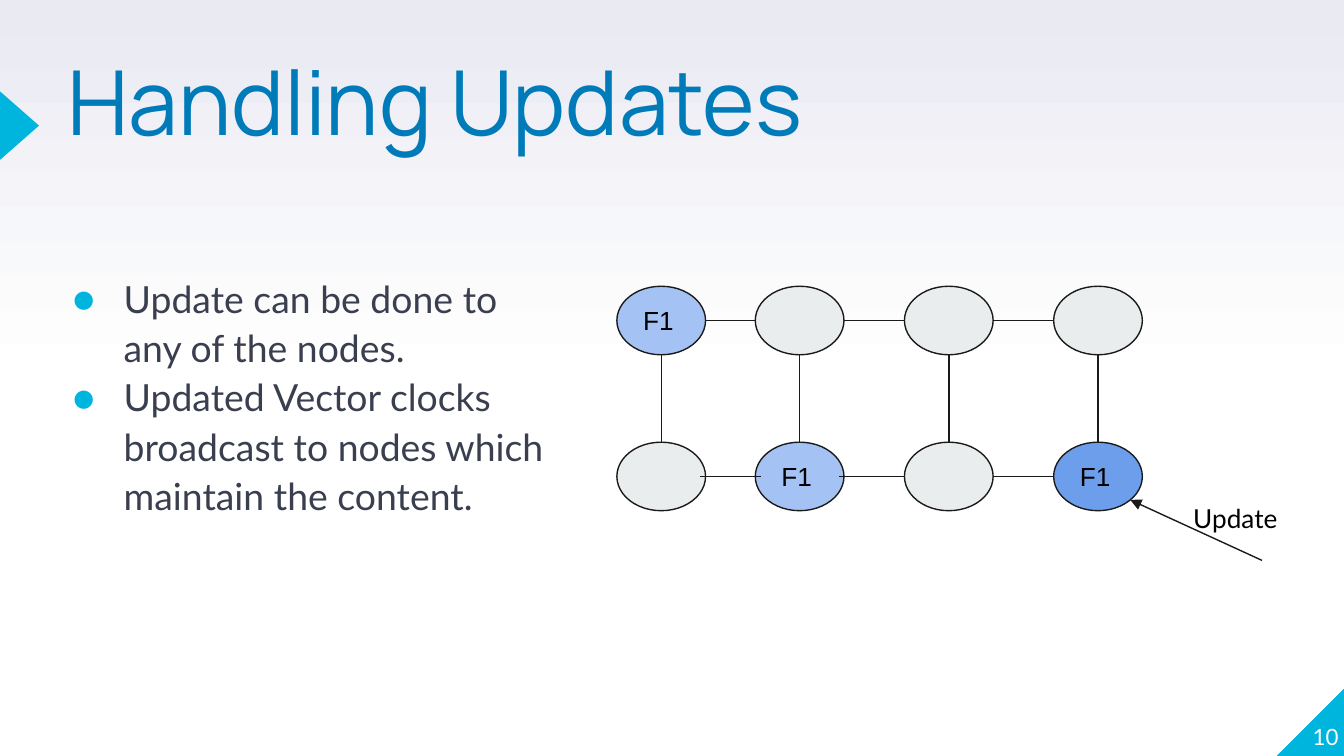
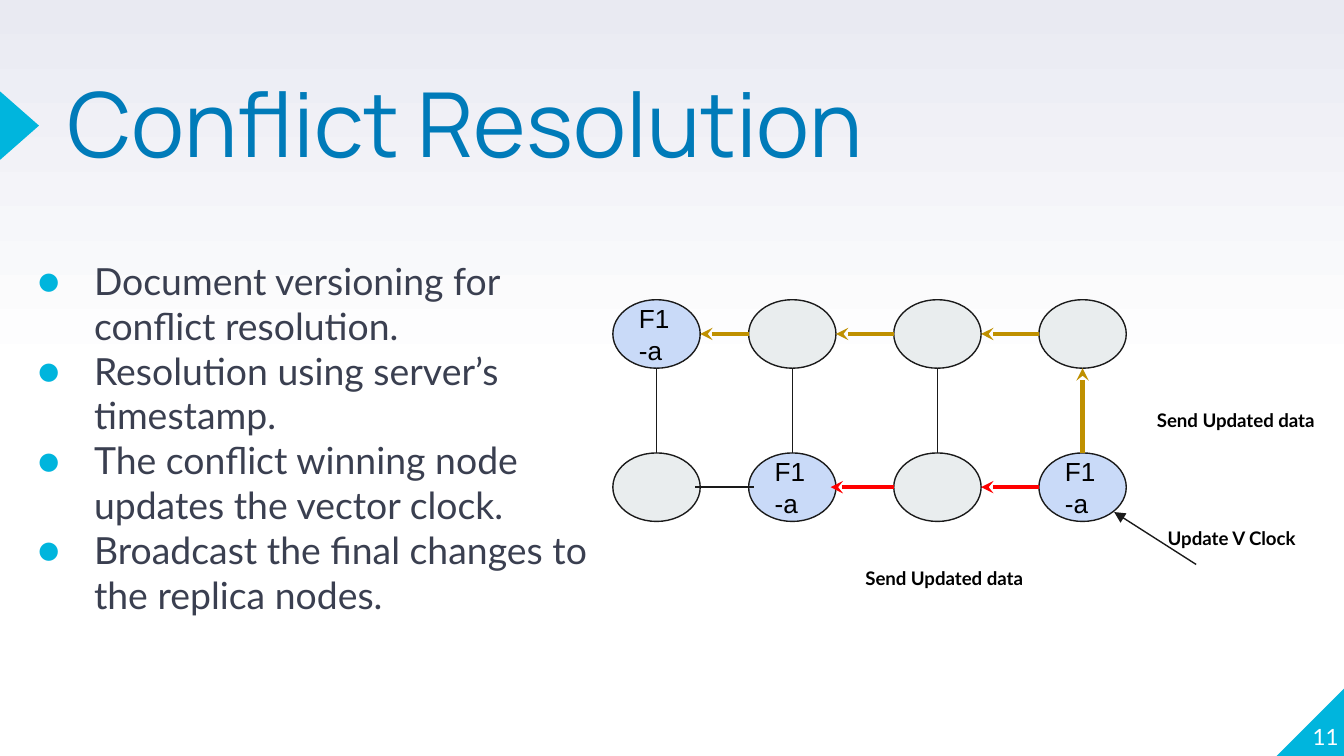
import pptx
import pptx.util
import pptx.dml.color
import pptx.enum.shapes
import pptx.enum.text
import pptx.oxml
import pptx.oxml.ns
from lxml import etree

RGB = pptx.dml.color.RGBColor
Inches, Pt = pptx.util.Inches, pptx.util.Pt
Shape = pptx.enum.shapes.MSO_SHAPE
Align, Anchor = pptx.enum.text.PP_ALIGN, pptx.enum.text.MSO_ANCHOR
qn = pptx.oxml.ns.qn

WIDE = 10
HIGH = WIDE * 9 / 16
WHITE, BLACK, HAZE = RGB(255, 255, 255), RGB(0, 0, 0), RGB(0xE9, 0xEA, 0xF2)
CYAN, BLUE, SLATE = RGB(0, 0xB5, 0xDD), RGB(0, 0x7B, 0xB9), RGB(0x3A, 0x3F, 0x50)
INK, GREY = RGB(0x1A, 0x1A, 0x1A), RGB(0xE9, 0xED, 0xEE)
SKY, PALE, DEEP = RGB(0xA4, 0xC2, 0xF4), RGB(0xC9, 0xDA, 0xF8), RGB(0x6D, 0x9E, 0xEB)
GOLD, RED = RGB(0xBF, 0x90, 0), RGB(255, 0, 0)

# Content: nodes and links are keyed by (row, column);
# a link "h" joins a node to its right neighbour, "v" joins the two rows
SLIDES = [
    {
        "title": "Handling Updates", "top": 0.5, "page": "10",
        "points": ["Update can be done to any of the nodes.",
                   "Updated Vector clocks broadcast to nodes which maintain the content."],
        "body": (0.42, 2.02, 3.65, 3.33), "hang": 0.38, "space": 1.1,
        "grid": {"left": 4.59, "first": 1.03, "step": 1.11, "rows": (2.13, 3.29), "wide": 0.66},
        "mark": "F1", "nodes": {(0, 0): SKY, (1, 1): SKY, (1, 3): DEEP},
        "flows": {},
        "entry": (9.39, 4.17, 8.41, 3.72),
        "notes": [("Update", (8.78, 3.64, 0.85, 0.35), 14, False)],
    },
    {
        "title": "Conflict Resolution", "top": 0.66, "page": "11",
        "points": ["Document versioning for conflict resolution.",
                   "Resolution using server’s timestamp.",
                   "The conflict winning node updates the vector clock.",
                   "Broadcast the final changes to the replica nodes."],
        "body": (0.2, 1.92, 4.37, 3.41), "hang": 0.42, "space": 1.0,
        "grid": {"left": 4.56, "first": 1.01, "step": 1.08, "rows": (2.23, 3.37), "wide": 0.65},
        "mark": "F1-a", "nodes": {(0, 0): PALE, (1, 1): PALE, (1, 3): PALE},
        "flows": {("h", 0, 0): GOLD, ("h", 0, 1): GOLD, ("h", 0, 2): GOLD,
                  ("v", 0, 3): GOLD, ("h", 1, 1): RED, ("h", 1, 2): RED},
        "entry": (8.9, 4.2, 8.29, 3.81),
        "notes": [("Update V Clock", (8.59, 3.82, 1.22, 0.31), 10, True),
                  ("Send Updated data", (8.51, 2.94, 1.37, 0.57), 10, True),
                  ("Send Updated data", (6.34, 4.12, 1.72, 0.57), 10, True)],
    },
]
COLS, TALL = 4, 0.51
# How far a lower link reaches into its left and right node
REACH = {(1, 0): (0.04, 0.04), (1, 1): (0.04, 0)}


def frame(shape, words, font, size, color, inset=0, anchor=Anchor.TOP,
          align=Align.LEFT, bold=False):
    """Fill a shape with evenly styled lines of text."""
    text = shape.text_frame
    text.text = words
    text.word_wrap = True
    text.auto_size = pptx.enum.text.MSO_AUTO_SIZE.NONE
    text.vertical_anchor = anchor
    text.margin_left = text.margin_right = Inches(inset)
    text.margin_top = text.margin_bottom = Inches(inset)
    for para in text.paragraphs:
        para.alignment = align
        for run in para.runs:
            run.font.name, run.font.size, run.font.bold = font, Pt(size), bold
            run.font.color.rgb = color
    return text


def box(slide, place, *args, **style):
    shape = slide.shapes.add_textbox(*map(Inches, place))
    return frame(shape, *args, **style)


def solid(slide, kind, place, fill, line=None):
    shape = slide.shapes.add_shape(kind, *map(Inches, place))
    shape.shadow.inherit = False
    shape.fill.solid()
    shape.fill.fore_color.rgb = fill
    if line is None:
        shape.line.fill.background()
    else:
        shape.line.color.rgb, shape.line.width = line, Pt(0.75)
    return shape


def link(slide, ends, color=INK, width=0.75, tip=None):
    line = slide.shapes.add_connector(
        pptx.enum.shapes.MSO_CONNECTOR.STRAIGHT, *map(Inches, ends))
    line.line.color.rgb, line.line.width = color, Pt(width)
    props = line._element.spPr
    if tip:
        etree.SubElement(props.find(qn("a:ln")), qn("a:tailEnd"), type=tip)
    etree.SubElement(props, qn("a:effectLst"))


def decor(slide, page):
    """Background, corner with page number, and title pointer."""
    fill = slide.background.fill
    fill.gradient()
    fill.gradient_angle = 90
    for stop, color, at in zip(fill.gradient_stops, (WHITE, HAZE), (0.5, 1)):
        stop.color.rgb, stop.position = color, at
    corner = solid(slide, Shape.RIGHT_TRIANGLE,
                   (WIDE - 0.5, HIGH - TALL, TALL, TALL), CYAN)
    corner._element.spPr.xfrm.set("flipH", "1")
    solid(slide, Shape.ISOSCELES_TRIANGLE, (-0.11, 0.79, 0.51, 0.29), CYAN).rotation = 90
    box(slide, (9.46, 5.07, 0.5, 0.51), page, "Lato", 12, WHITE,
        anchor=Anchor.BOTTOM, align=Align.RIGHT)


def head(slide, words, top):
    title = slide.shapes.title
    title.left, title.top, title.width, title.height = map(Inches, (0.5, top, 6.17, 1.18))
    frame(title, words, "Manrope", 48, BLUE).paragraphs[0].line_spacing = 0.8


def points(slide, data):
    text = box(slide, data["body"], "\n".join(data["points"]), "Lato", 20, SLATE)
    for i, para in enumerate(text.paragraphs):
        para.line_spacing = data["space"]
        para.space_before = Pt(0 if i else 6)
        props = para._p.get_or_add_pPr()
        props.set("marL", str(Inches(0.5)))
        props.set("indent", str(-Inches(data["hang"])))
        tint = etree.SubElement(props, qn("a:buClr"))
        etree.SubElement(tint, qn("a:srgbClr"), val=str(CYAN))
        etree.SubElement(props, qn("a:buFont"), typeface="Lato")
        etree.SubElement(props, qn("a:buChar"), char="●")


def graph(slide, data):
    grid, rows = data["grid"], data["grid"]["rows"]
    wide = grid["wide"]
    start = grid["left"] + grid["first"]
    cols = [grid["left"]] + [start + i * grid["step"] for i in range(COLS - 1)]

    # Nodes
    for r, y in enumerate(rows):
        for c, x in enumerate(cols):
            fill = data["nodes"].get((r, c))
            node = solid(slide, Shape.OVAL, (x, y, wide, TALL), fill or GREY, INK)
            if fill:
                frame(node, data["mark"], "Arial", 14, BLACK, 0.1, Anchor.MIDDLE)

    # Links run right to left and bottom to top, the way the data flows
    ends = {}
    for r, y in enumerate(rows):
        mid = y + TALL / 2
        for c in range(COLS - 1):
            near, far = REACH.get((r, c), (0, 0))
            ends["h", r, c] = (cols[c + 1] + far, mid, cols[c] + wide - near, mid)
    for c, x in enumerate(cols):
        ends["v", 0, c] = (x + wide / 2, rows[1], x + wide / 2, rows[0] + TALL)
    for key, place in ends.items():
        flow = data["flows"].get(key)
        if flow:
            link(slide, place, flow, 2.25, "stealth")
        else:
            link(slide, place)

    # Incoming update and labels
    link(slide, data["entry"], tip="triangle")
    for words, place, size, bold in data["notes"]:
        box(slide, place, words, "Lato", size, BLACK, inset=0.1, bold=bold)


def main():
    deck = pptx.Presentation()
    deck.slide_width, deck.slide_height = Inches(WIDE), Inches(HIGH)
    for data in SLIDES:
        slide = deck.slides.add_slide(deck.slide_layouts.get_by_name("Title Only"))
        decor(slide, data["page"])
        head(slide, data["title"], data["top"])
        points(slide, data)
        graph(slide, data)
    deck.save("out.pptx")


if __name__ == "__main__":
    main()
